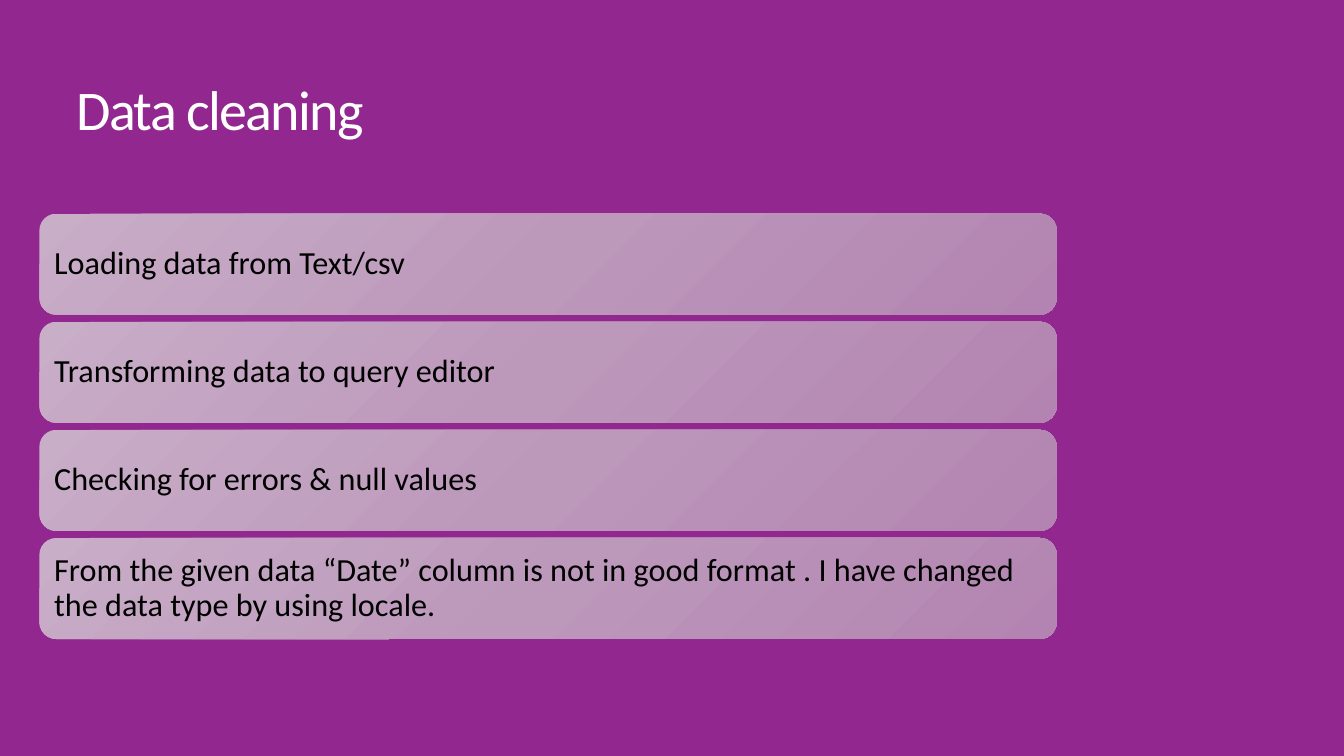
from lxml.etree import SubElement
from pptx import Presentation
from pptx.dml.color import RGBColor
from pptx.enum.shapes import MSO_SHAPE
from pptx.enum.text import MSO_ANCHOR, PP_ALIGN
from pptx.oxml.ns import qn
from pptx.util import Inches, Pt

PURPLE = RGBColor(0x92, 0x27, 0x8F)
WHITE = RGBColor(0xFF, 0xFF, 0xFF)
BLACK = RGBColor(0x00, 0x00, 0x00)
CARD_STOPS = [
    (0, RGBColor(0xC9, 0xAE, 0xC8)),
    (50, RGBColor(0xBC, 0x98, 0xBB)),
    (100, RGBColor(0xB3, 0x84, 0xB1)),
]
FONT = "Calibri"

STEPS = [
    "Loading data from Text/csv",
    "Transforming data to query editor",
    "Checking for errors & null values",
    "From the given data “Date” column is not in good format . "
    "I have changed the data type by using locale.",
]


def set_all(target, values):
    for name, value in values.items():
        setattr(target, name, value)


def write_text(shape, text, size, color, line_spacing, frame_format):
    frame = shape.text_frame
    set_all(frame, {"word_wrap": True, **frame_format})
    para = frame.paragraphs[0]
    set_all(para, {"alignment": PP_ALIGN.LEFT, "line_spacing": line_spacing})
    span = para.add_run()
    span.text = text
    set_all(span.font, {"name": FONT, "size": Pt(size)})
    span.font.color.rgb = color
    return span


def fill_gradient(shape, stops, degrees):
    """Fill with any number of stops, at a clockwise angle."""
    shape.fill.gradient()
    gradient = shape._element.spPr.find(qn("a:gradFill"))
    stop_list = gradient.find(qn("a:gsLst"))
    for stop in list(stop_list):
        stop_list.remove(stop)
    for percent, color in stops:
        stop = SubElement(stop_list, qn("a:gs"), pos=str(percent * 1000))
        SubElement(stop, qn("a:srgbClr"), val=str(color))
    line = gradient.find(qn("a:lin"))
    line.set("ang", str(degrees * 60000))
    line.set("scaled", "0")


# Title
def add_title(page, left, top, width, height):
    box = page.shapes.add_textbox(left, top, width, height)
    # The deep bottom margin lifts the title clear of the cards
    span = write_text(box, "Data cleaning", 40, WHITE, 0.8, {
        "vertical_anchor": MSO_ANCHOR.BOTTOM,
        "margin_bottom": Inches(0.72),
    })
    span.font._element.set("spc", "-120")


# Stack of step cards
def add_step_cards(page, left, top, width, height, gap):
    card_height = (height - gap * (len(STEPS) - 1)) / len(STEPS)
    for index, step in enumerate(STEPS):
        card_top = top + index * (card_height + gap)
        card = page.shapes.add_shape(
            MSO_SHAPE.ROUNDED_RECTANGLE,
            left, round(card_top), width, round(card_height))
        card.shadow.inherit = False
        card.line.fill.background()
        fill_gradient(card, CARD_STOPS, 45)
        write_text(card, step, 23, BLACK, 0.9, {
            "vertical_anchor": MSO_ANCHOR.MIDDLE,
            "margin_left": Inches(0.1),
            "margin_right": Inches(0.1),
        })


def build_cleaning_slide(deck):
    page = deck.slides.add_slide(deck.slide_layouts[6])
    page.background.fill.solid()
    page.background.fill.fore_color.rgb = PURPLE
    add_title(page, Inches(0.66), Inches(0.84), Inches(11.2), Inches(1.28))
    add_step_cards(page, Inches(0.39), Inches(2.12), Inches(10.09),
                   Inches(4.22), Inches(0.07))


def main():
    deck = Presentation()
    set_all(deck, {"slide_width": Inches(13.33), "slide_height": Inches(7.5)})
    build_cleaning_slide(deck)
    deck.save("out.pptx")


if __name__ == "__main__":
    main()
